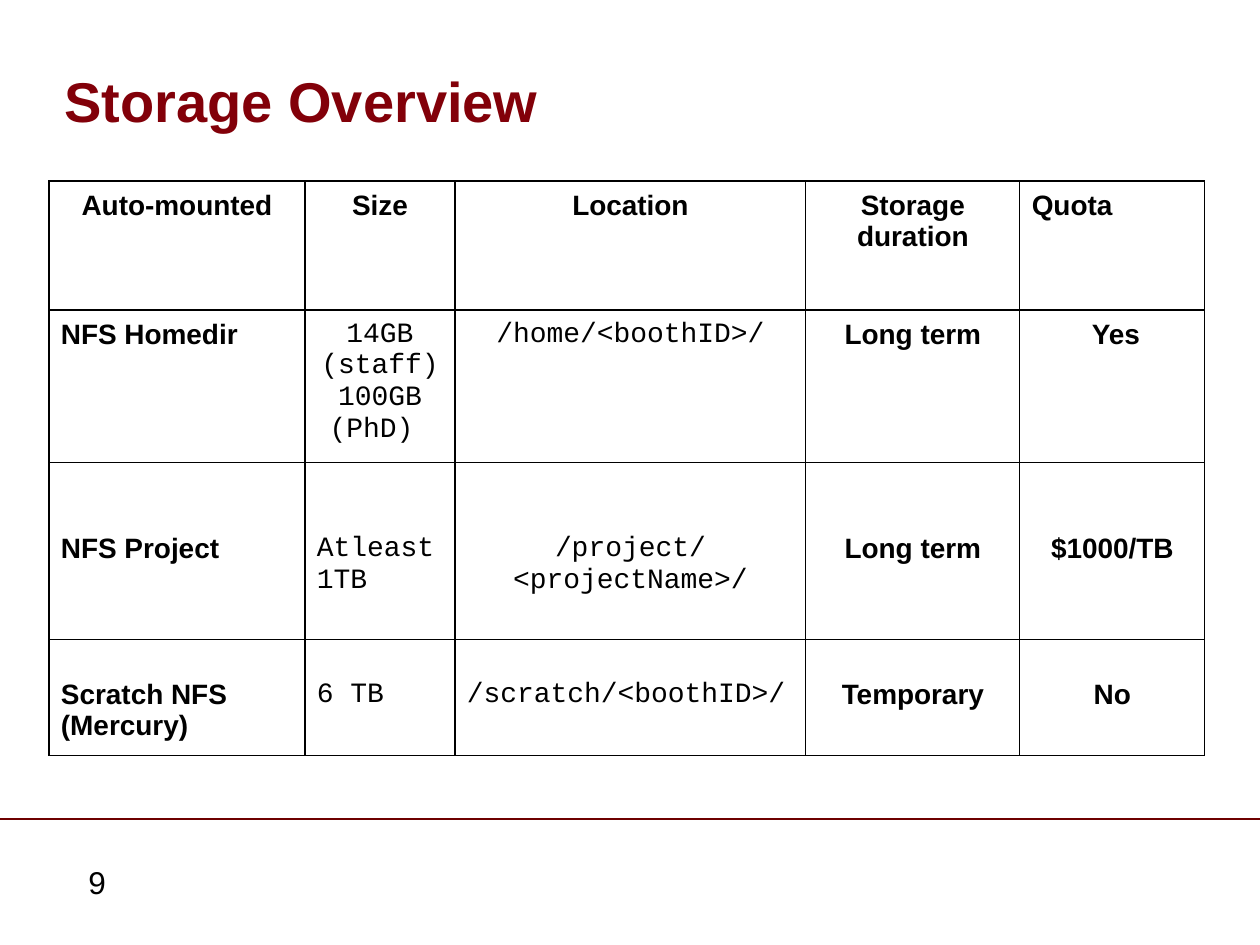
from lxml.etree import SubElement
from pptx import Presentation
from pptx.dml.color import RGBColor as Rgb
from pptx.enum.text import MSO_ANCHOR as Anchor, PP_ALIGN as Align
from pptx.oxml.ns import qn
from pptx.util import Pt

COLORS = {"title": "820009", "rule": "6E0000", "ink": "000000", "paper": "FFFFFF"}
SANS = {"name": "Arial", "size": Pt(16), "bold": True}
MONO = {"name": "Courier New", "size": Pt(16), "bold": False}
TITLE = {"name": "Arial", "size": Pt(32), "bold": True}
NUMBER = {"name": "Arial", "size": Pt(18), "bold": False}

COLUMN_WIDTHS = (256, 150, 351, 214, 185)
ROW_HEIGHTS = (129, 146, 177, 112)
LEADING_LINES = (0, 0, 2, 1)
LINE_HEIGHT = 31
CELL_MARGIN = {"x": 12, "y": 9}
MONO_COLUMNS = (1, 2)
LEFT_CELLS = {(0, 4), (2, 1), (3, 1), (3, 2)}
ROWS = (
    ("Auto-mounted", "Size", "Location", "Storage duration", "Quota"),
    ("NFS Homedir", "14GB\n(staff)100GB\n(PhD) ", "/home/<boothID>/", "Long term", " Yes"),
    ("NFS Project", "Atleast 1TB", "/project/<projectName>/", "Long term", "$1000/TB"),
    ("Scratch NFS (Mercury)", "6 TB", "/scratch/<boothID>/", "Temporary", "No"),
)


def px(length):
    """Turn a length in px into EMU."""
    return round(length * 914400 / 126)


def apply_format(target, values):
    """Set every attribute named in the dict of format values."""
    for name, value in values.items():
        setattr(target, name, value)


def write_text(frame, text, font, color, **paragraph_format):
    """Fill a text frame, one paragraph for each line of text."""
    frame.word_wrap = True
    frame.text = text
    for paragraph in frame.paragraphs:
        apply_format(paragraph, paragraph_format)
        for run in paragraph.runs:
            apply_format(run.font, font)
            run.font.color.rgb = Rgb.from_string(COLORS[color])


def add_borders(cell):
    """Draw a thin line on each side of a table cell."""
    properties = cell._tc.get_or_add_tcPr()
    for index, side in enumerate(("lnL", "lnR", "lnT", "lnB")):
        line = properties.makeelement(qn(f"a:{side}"), {"w": str(Pt(0.75))})
        fill = SubElement(line, qn("a:solidFill"))
        SubElement(fill, qn("a:srgbClr"), val=COLORS["ink"])
        properties.insert(index, line)


def add_title(slide, left, top, width, height):
    """Place the slide title in its placeholder."""
    title = slide.shapes.title
    apply_format(title, {"left": px(left), "top": px(top), "width": px(width), "height": px(height)})
    frame = title.text_frame
    apply_format(frame, {"margin_left": 0, "margin_right": 0, "margin_top": 0,
                         "margin_bottom": 0, "vertical_anchor": Anchor.BOTTOM})
    write_text(frame, " Storage Overview", TITLE, "title", alignment=Align.LEFT, line_spacing=0.9)


def add_storage_table(slide, left, top):
    """Place the table of storage areas."""
    frame = slide.shapes.add_table(len(ROWS), len(COLUMN_WIDTHS), px(left), px(top),
                                   px(sum(COLUMN_WIDTHS)), px(sum(ROW_HEIGHTS)))
    table = frame.table
    apply_format(table, {"first_row": False, "horz_banding": False})
    for column, width in zip(table.columns, COLUMN_WIDTHS):
        column.width = px(width)
    for row, height in zip(table.rows, ROW_HEIGHTS):
        row.height = px(height)
    for row_index, texts in enumerate(ROWS):
        top_margin = CELL_MARGIN["y"] + LEADING_LINES[row_index] * LINE_HEIGHT
        for column_index, text in enumerate(texts):
            cell = table.cell(row_index, column_index)
            apply_format(cell, {"margin_left": px(CELL_MARGIN["x"]),
                                "margin_right": px(CELL_MARGIN["x"]),
                                "margin_top": px(top_margin),
                                "margin_bottom": px(CELL_MARGIN["y"])})
            is_left = (row_index, column_index) in LEFT_CELLS or (row_index and not column_index)
            font = MONO if row_index and column_index in MONO_COLUMNS else SANS
            write_text(cell.text_frame, text, font, "ink",
                       alignment=Align.LEFT if is_left else Align.CENTER)
            cell.fill.solid()
            cell.fill.fore_color.rgb = Rgb.from_string(COLORS["paper"])
            add_borders(cell)


def add_footer(slide, left, top, width):
    """Place the footer rule and the slide number."""
    rule = slide.shapes.add_connector(1, px(left), px(top), px(left + width), px(top))
    rule.line.color.rgb = Rgb.from_string(COLORS["rule"])
    rule.line.width = Pt(0.75)
    SubElement(rule._element.spPr, qn("a:effectLst"))
    number = slide.shapes.add_textbox(px(left + 76), px(top + 38), px(64), px(50))
    write_text(number.text_frame, "9", NUMBER, "ink")


def main():
    """Build and save the slide."""
    presentation = Presentation()
    apply_format(presentation, {"slide_width": px(1260), "slide_height": px(945)})
    slide = presentation.slides.add_slide(presentation.slide_layouts[5])
    add_footer(slide, 0, 819, 1260)
    add_title(slide, 49, 68, 974, 67)
    add_storage_table(slide, 49, 181)
    presentation.save("out.pptx")


if __name__ == "__main__":
    main()
